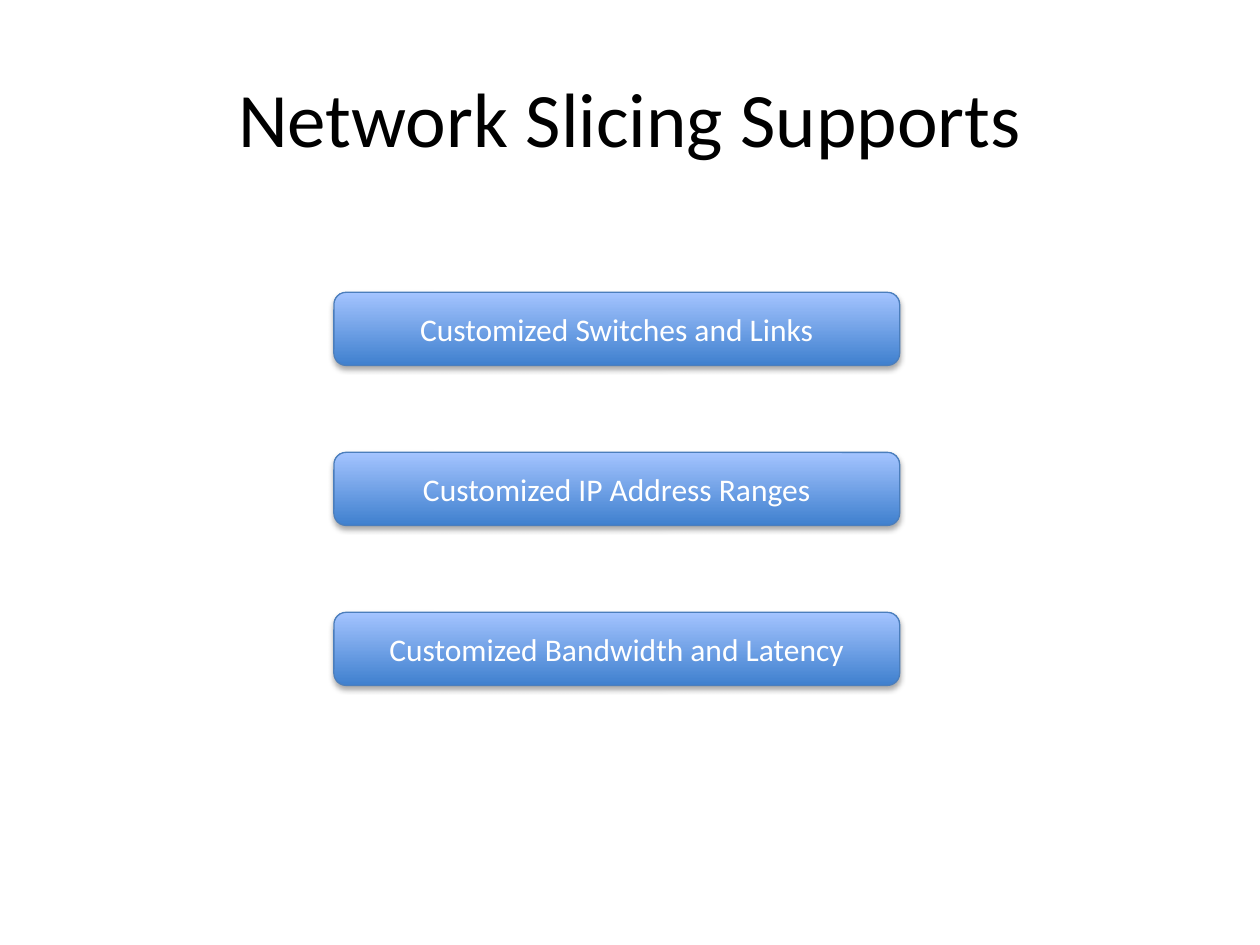
from lxml import etree
from pptx import Presentation
from pptx.dml.color import RGBColor
from pptx.enum.shapes import MSO_SHAPE
from pptx.enum.text import MSO_ANCHOR, PP_ALIGN
from pptx.oxml.ns import qn
from pptx.util import Inches, Pt

ROUNDED = MSO_SHAPE.ROUNDED_RECTANGLE
MIDDLE = MSO_ANCHOR.MIDDLE
CENTER = PP_ALIGN.CENTER

# Content
TITLE = "Network Slicing Supports"
FEATURES = [
    "Customized Switches and Links",
    "Customized IP Address Ranges",
    "Customized Bandwidth and Latency",
]

# Style
FONT = "Calibri"
COLORS = {
    "title": "000000",
    "label": "FFFFFF",
    "bottom": "3F80CE",
    "top": "A4C4FF",
    "outline": "4B7EBC",
    "shadow": "000000",
}

# Layout in inches: one column of evenly spaced bars
WIDTH, HEIGHT = 10, 7.5
MARGIN = 0.05 * WIDTH
TITLE_TOP, TITLE_HEIGHT = 0.04 * HEIGHT, 1.25
BAR_LEFT, BAR_TOP = 2.65, 2.32
BAR_WIDTH, BAR_HEIGHT, BAR_STEP = 4.49, 0.58, 1.27


def color(name):
    return RGBColor.from_string(COLORS[name])


def write(shape, text, size, color_name):
    frame = shape.text_frame
    frame.text = text
    frame.word_wrap = True
    frame.vertical_anchor = MIDDLE
    para = frame.paragraphs[0]
    para.alignment = CENTER
    font = para.runs[0].font
    font.name, font.size = FONT, Pt(size)
    font.color.rgb = color(color_name)


def add_shadow(shape):
    shape.shadow.inherit = False
    effects = shape._element.spPr.find(qn("a:effectLst"))
    outer = etree.SubElement(
        effects, qn("a:outerShdw"), blurRad=str(Pt(3.15)), dist=str(Pt(1.81)),
        dir=str(90 * 60000), rotWithShape="0")
    tone = etree.SubElement(outer, qn("a:srgbClr"), val=COLORS["shadow"])
    etree.SubElement(tone, qn("a:alpha"), val="35000")


def add_bar(page, row, text):
    bar = page.shapes.add_shape(
        ROUNDED, Inches(BAR_LEFT), Inches(BAR_TOP + row * BAR_STEP),
        Inches(BAR_WIDTH), Inches(BAR_HEIGHT))
    bar.fill.gradient()
    bar.fill.gradient_angle = 90
    for stop, name in zip(bar.fill.gradient_stops, ("bottom", "top")):
        stop.color.rgb = color(name)
    bar.line.color.rgb = color("outline")
    bar.line.width = Pt(0.75)
    add_shadow(bar)
    write(bar, text, 18, "label")


def main():
    deck = Presentation()
    deck.slide_width, deck.slide_height = Inches(WIDTH), Inches(HEIGHT)
    page = deck.slides.add_slide(deck.slide_layouts[6])

    # Title
    title = page.shapes.add_textbox(
        Inches(MARGIN), Inches(TITLE_TOP),
        Inches(WIDTH - 2 * MARGIN), Inches(TITLE_HEIGHT))
    write(title, TITLE, 44, "title")

    # Feature bars
    for row, text in enumerate(FEATURES):
        add_bar(page, row, text)

    deck.save("out.pptx")


if __name__ == "__main__":
    main()
